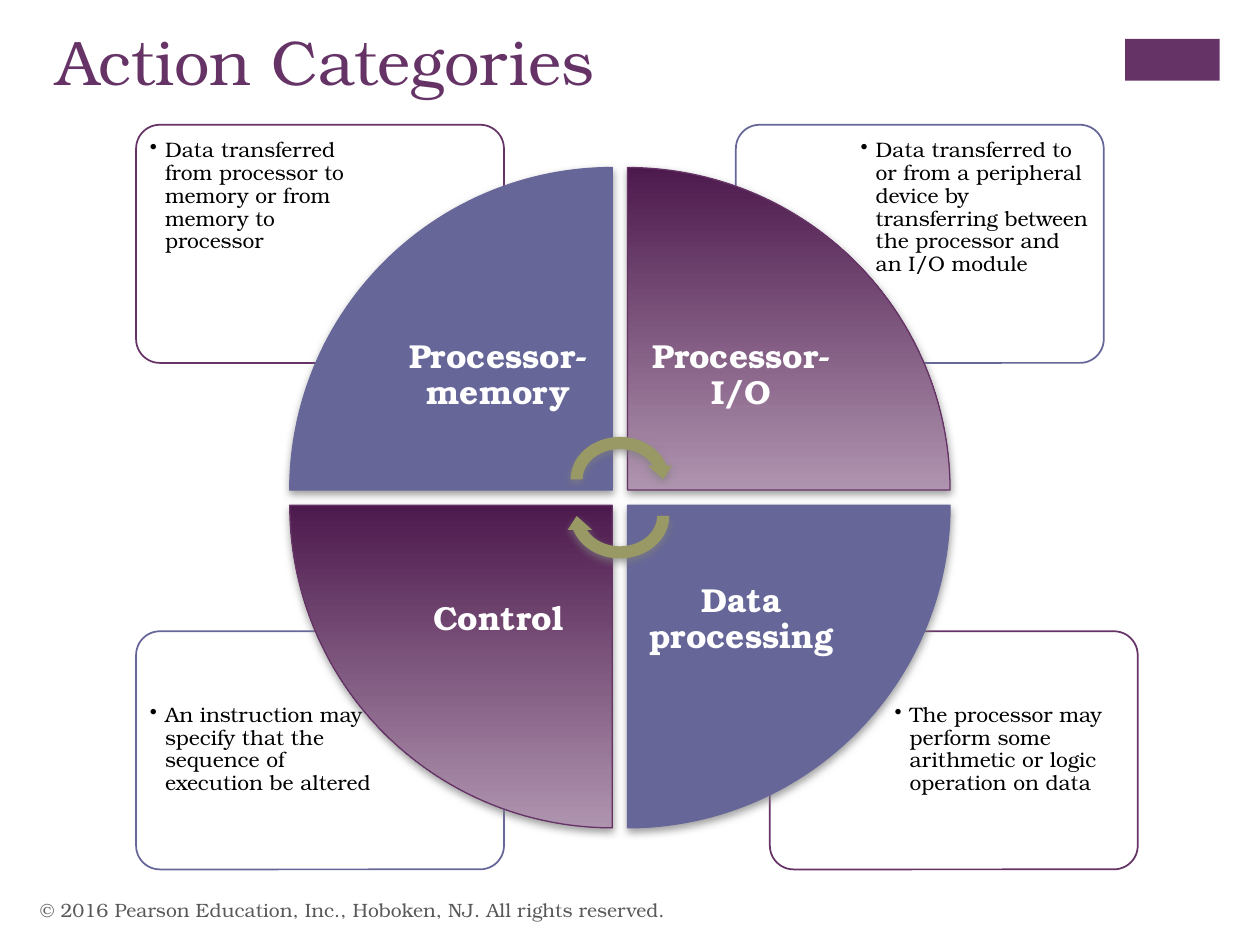
from lxml.etree import SubElement
from pptx import Presentation
from pptx.dml.color import RGBColor
from pptx.enum.shapes import MSO_SHAPE
from pptx.enum.text import MSO_ANCHOR, MSO_AUTO_SIZE, PP_ALIGN
from pptx.oxml.ns import qn
from pptx.util import Inches, Pt

PURPLE = RGBColor(0x66, 0x33, 0x66)
DARK_PURPLE = RGBColor(0x4D, 0x1A, 0x4D)
LIGHT_PURPLE = RGBColor(0xAF, 0x94, 0xAF)
BLUE = RGBColor(0x66, 0x66, 0x99)
OLIVE = RGBColor(0x99, 0x99, 0x66)
GRAY = RGBColor(0x59, 0x59, 0x59)
SHADOW = RGBColor(0x80, 0x80, 0x80)
WHITE = RGBColor(0xFF, 0xFF, 0xFF)
BLACK = RGBColor(0, 0, 0)

CARD_W, CARD_H = 2.92, 1.89
NOTE_W, NOTE_H = 1.96, 1.33
WEDGE, LABEL = 2.56, 1.81
LEFT, RIGHT, TOP, BOTTOM = 2.3, 4.98, 1.33, 4.01


class CycleSlide:
    font = "TeX Gyre Bonum"

    def __init__(self, prs):
        self.slide = prs.slides.add_slide(prs.slide_layouts[5])

    def set_text(self, tf, text, size, color, bold=False):
        p = tf.paragraphs[0]
        p.text = text
        r = p.runs[0]
        r.font.name = self.font
        r.font.size = Pt(size)
        r.font.bold = bold
        r.font.color.rgb = color
        return p

    def title(self, text, x, y, w, h):
        sp = self.slide.shapes.title
        sp.left, sp.top, sp.width, sp.height = map(Inches, (x, y, w, h))
        tf = sp.text_frame
        tf.auto_size = MSO_AUTO_SIZE.NONE
        tf.vertical_anchor = MSO_ANCHOR.TOP
        self.set_text(tf, text, 36, PURPLE).alignment = PP_ALIGN.LEFT

    def shape(self, kind, x, y, w, h, fill=None, line=None, weight=1, rotation=0):
        sp = self.slide.shapes.add_shape(kind, *map(Inches, (x, y, w, h)))
        sp.shadow.inherit = False
        sp.rotation = rotation
        if fill is not None:
            sp.fill.solid()
            sp.fill.fore_color.rgb = fill
        if line is None:
            sp.line.fill.background()
        else:
            sp.line.color.rgb = line
            sp.line.width = Pt(weight)
        return sp

    def textbox(self, text, x, y, w, h, size, color, inset=None,
                anchor=MSO_ANCHOR.TOP, bold=False):
        tf = self.slide.shapes.add_textbox(*map(Inches, (x, y, w, h))).text_frame
        tf.word_wrap = True
        tf.vertical_anchor = anchor
        if inset is not None:
            tf.margin_left = tf.margin_right = Inches(inset)
            tf.margin_top = tf.margin_bottom = Inches(inset)
        return self.set_text(tf, text, size, color, bold)

    def card(self, x, y, color):
        sp = self.shape(MSO_SHAPE.ROUNDED_RECTANGLE, x, y, CARD_W, CARD_H, WHITE, color)
        sp.adjustments[0] = 0.1
        rgb = sp._element.spPr.find(qn("a:solidFill"))[0]
        SubElement(rgb, qn("a:alpha"), val="90000")

    def note(self, text, x, y):
        p = self.textbox(text, x, y, NOTE_W, NOTE_H, 12, BLACK, 0.07)
        p.line_spacing = 0.9
        pPr = p._p.get_or_add_pPr()
        pPr.set("marL", str(Inches(0.12)))
        pPr.set("indent", str(-Inches(0.12)))
        SubElement(pPr, qn("a:buChar"), char="•")

    def cast_shadow(self, sp):
        effects = sp._element.spPr.find(qn("a:effectLst"))
        shadow = SubElement(effects, qn("a:outerShdw"), blurRad=str(Pt(5)),
                            dist=str(Pt(2)), dir="5400000", rotWithShape="0")
        rgb = SubElement(shadow, qn("a:srgbClr"), val=str(SHADOW))
        SubElement(rgb, qn("a:alpha"), val="75000")

    def wedge(self, x, y, rotation, shaded):
        sp = self.shape(MSO_SHAPE.PIE_WEDGE, x, y, WEDGE, WEDGE,
                        None if shaded else BLUE, PURPLE if shaded else BLUE,
                        0.75, rotation)
        if shaded:
            sp.fill.gradient()
            sp.fill.gradient_angle = 270
            for stop, color in zip(sp.fill.gradient_stops, (DARK_PURPLE, LIGHT_PURPLE)):
                stop.color.rgb = color
            sp._element.spPr.find(qn("a:gradFill")).set("rotWithShape", "0")
        self.cast_shadow(sp)

    def label(self, text, x, y):
        p = self.textbox(text, x, y, LABEL, LABEL, 19, WHITE, 0.15,
                         MSO_ANCHOR.MIDDLE, True)
        p.alignment = PP_ALIGN.CENTER
        p.line_spacing = 0.9

    def arrow(self, y, rotation):
        self.cast_shadow(self.shape(MSO_SHAPE.CIRCULAR_ARROW, 4.48, y, 0.88, 0.77,
                                    OLIVE, rotation=rotation))


def main():
    prs = Presentation()
    prs.slide_width, prs.slide_height = Inches(10), Inches(7.5)
    s = CycleSlide(prs)
    s.shape(MSO_SHAPE.RECTANGLE, 8.93, 0.31, 0.75, 0.33, PURPLE)
    s.title("Action Categories", 0.35, 0.13, 8.43, 1.22)

    cards = [
        (6.11, 5.01, PURPLE, "The processor may perform some arithmetic or logic "
                             "operation on data"),
        (1.08, 5.01, BLUE, "An instruction may specify that the sequence of "
                           "execution be altered"),
        (5.84, 0.99, BLUE, "Data transferred to or from a peripheral device by "
                           "transferring between the processor and an I/O module"),
        (1.08, 0.99, PURPLE, "Data transferred from processor to memory or from "
                             "memory to processor"),
    ]
    for x, y, color, text in cards:
        s.card(x, y, color)
        note_x = x + 0.04 if x < LEFT else x + CARD_W - NOTE_W - 0.04
        note_y = y + 0.05 if y < TOP else y + CARD_H - NOTE_H - 0.05
        s.note(text, note_x, note_y)

    wedges = [("Processor-memory", LEFT, TOP), ("Processor-I/O", RIGHT, TOP),
              ("Data processing", RIGHT, BOTTOM), ("Control", LEFT, BOTTOM)]
    for i, (text, x, y) in enumerate(wedges):
        s.wedge(x, y, 90 * i, i % 2 == 1)
        s.label(text, x + WEDGE - LABEL if x == LEFT else x,
                y + WEDGE - LABEL if y == TOP else y)

    s.arrow(3.42, 0)
    s.arrow(3.71, 180)
    s.textbox("© 2016 Pearson Education, Inc., Hoboken, NJ. All rights reserved.",
              0.22, 7.02, 6.7, 0.4, 11, GRAY, anchor=MSO_ANCHOR.MIDDLE)
    prs.save("out.pptx")


if __name__ == "__main__":
    main()
